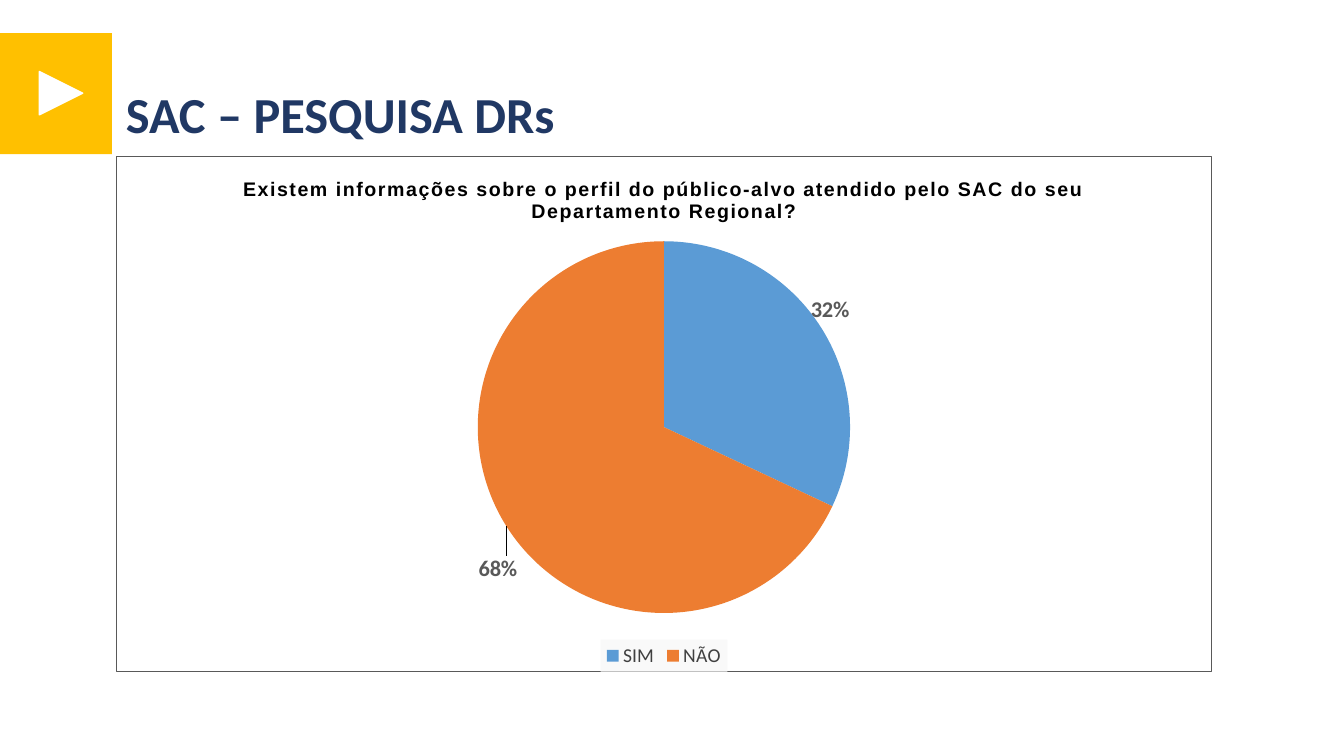
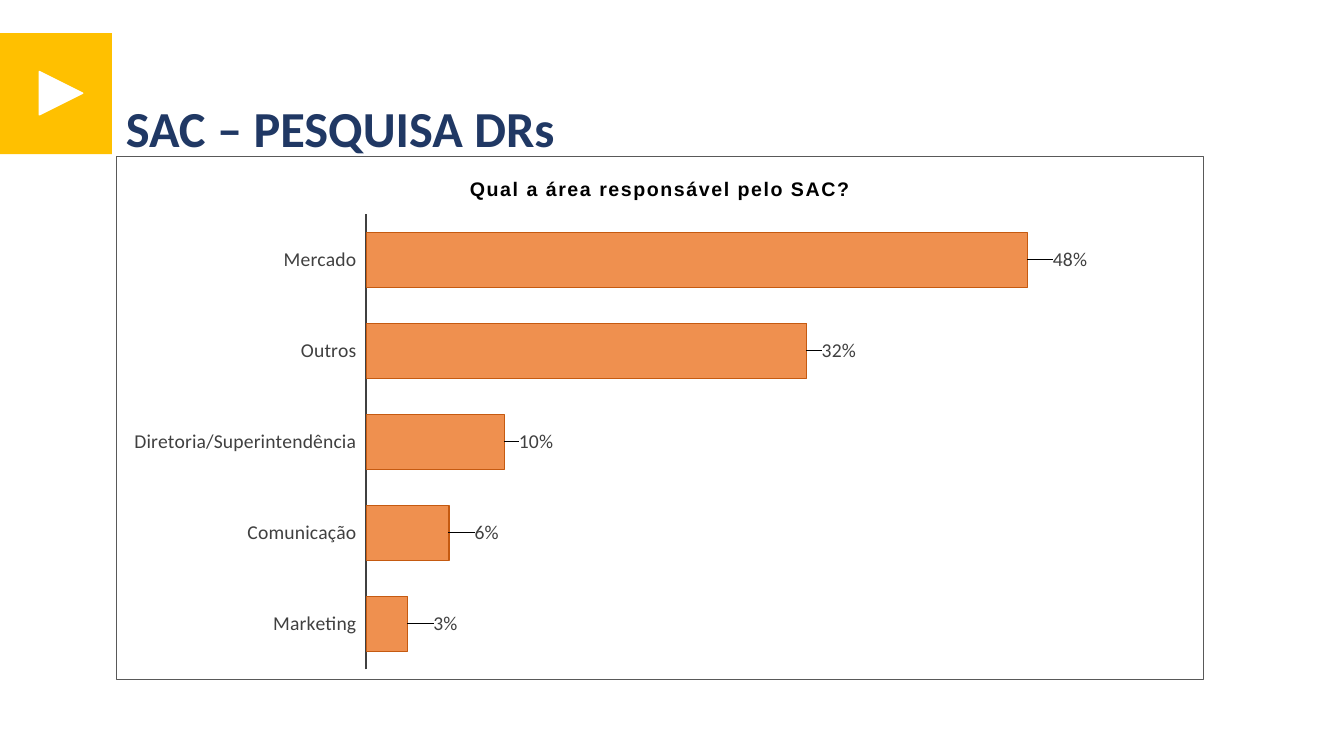
from pptx import Presentation
from pptx.chart.data import CategoryChartData
from pptx.dml.color import RGBColor
from pptx.enum.chart import (XL_CHART_TYPE, XL_LABEL_POSITION,
                             XL_LEGEND_POSITION, XL_TICK_LABEL_POSITION,
                             XL_TICK_MARK)
from pptx.enum.shapes import MSO_SHAPE
from pptx.oxml import parse_xml
from pptx.oxml.ns import nsdecls
from pptx.util import Inches, Pt

PIE, BAR = XL_CHART_TYPE.PIE, XL_CHART_TYPE.BAR_CLUSTERED
CENTER, OUTSIDE = XL_LABEL_POSITION.CENTER, XL_LABEL_POSITION.OUTSIDE_END
BOTTOM = XL_LEGEND_POSITION.BOTTOM
LOW, NO_LABEL = XL_TICK_LABEL_POSITION.LOW, XL_TICK_LABEL_POSITION.NONE
NO_TICK = XL_TICK_MARK.NONE
RECT, TRIANGLE = MSO_SHAPE.RECTANGLE, MSO_SHAPE.ISOSCELES_TRIANGLE

WHITE = RGBColor(0xFF, 0xFF, 0xFF)
BLACK = RGBColor(0, 0, 0)
GOLD = RGBColor(0xFF, 0xC0, 0x00)
NAVY = RGBColor(0x20, 0x38, 0x64)
BLUE = RGBColor(0x5B, 0x9B, 0xD5)
ORANGE = RGBColor(0xED, 0x7D, 0x31)
RUST = RGBColor(0xC5, 0x5A, 0x11)
GRAY = RGBColor(0x59, 0x59, 0x59)
DARK = RGBColor(0x40, 0x40, 0x40)
BODY, HEAD = "Calibri", "Arial"

TITLE = "SAC – PESQUISA DRs"
LEFT = 1.15
SLIDES = [
    {"top": 0.84, "size": (10.87, 5.12), "kind": PIE,
     "ask": "Existem informações sobre o perfil do público-alvo atendido "
            "pelo SAC do seu Departamento Regional?",
     "cats": ["SIM", "NÃO"], "vals": [32, 68],
     "plot": (0.33, 0.16, 0.34, 0.73),
     "shifts": [(0.08, -0.13), (-0.08, 0.18)]},
    {"top": 0.98, "size": (10.79, 5.2), "kind": BAR,
     "ask": "Qual a área responsável pelo SAC?",
     "cats": ["Mercado", "Outros", "Diretoria/Superintendência",
              "Comunicação", "Marketing"],
     "vals": [0.48, 0.32, 0.1, 0.06, 0.03],
     "plot": (0.23, 0.11, 0.76, 0.87),
     "shifts": [(0.02, 0), (0.01, 0), (0.01, 0), (0.02, 0), (0.02, 0)]},
]


def style(font, size, color, bold=False, name=BODY):
    font.size, font.bold, font.name = Pt(size), bold, name
    font.color.rgb = color


def stroke(line, color, width):
    line.color.rgb, line.width = color, Pt(width)


def make(tag, inner="", attrs=""):
    return parse_xml(f'<{tag} {nsdecls("c", "a")} {attrs}>{inner}</{tag}>')


def layout(pairs, mode=""):
    vals = "".join(f'<c:{key} val="{val}"/>' for key, val in pairs)
    return make("c:layout", f"<c:manualLayout>{mode}{vals}</c:manualLayout>")


def solid(color):
    return f'<a:solidFill><a:srgbClr val="{color}"/></a:solidFill>'


def add_mark(slide):
    for kind, box, color in ((RECT, (0, 0.33, 1.11, 1.2), GOLD),
                             (TRIANGLE, (0.39, 0.71, 0.43, 0.43), WHITE)):
        shape = slide.shapes.add_shape(kind, *map(Inches, box))
        shape.shadow.inherit = False
        shape.fill.solid()
        shape.fill.fore_color.rgb = color
        if kind == TRIANGLE:
            shape.rotation = 90
            stroke(shape.line, WHITE, 1)
        else:
            shape.line.fill.background()


def add_title(slide, top):
    box = slide.shapes.add_textbox(
        *map(Inches, (LEFT, top, 9.4, 0.54)))
    frame = box.text_frame
    frame.word_wrap = True
    frame.text = TITLE
    para = frame.paragraphs[0]
    para.line_spacing = 0.9
    style(para.runs[0].font, 36, NAVY, True)


def add_frame(chart):
    root = chart._chartSpace
    body = root.xpath("c:chart")[0]
    if not root.xpath("c:roundedCorners"):
        body.addprevious(make("c:roundedCorners", attrs='val="0"'))
    line = f'<a:ln w="{Pt(0.75)}">{solid(GRAY)}</a:ln>'
    body.addnext(make("c:spPr", solid(WHITE) + line))


def add_ask(chart, text):
    chart.has_title = True
    chart.chart_title.include_in_layout = False
    frame = chart.chart_title.text_frame
    frame.text = text
    run = frame.paragraphs[0].runs[0]
    style(run.font, 14, BLACK, True, HEAD)
    run._r.get_or_add_rPr().set("spc", "100")


def set_plot(chart, box):
    area = chart._chartSpace.xpath("c:chart/c:plotArea")[0]
    for old in area.xpath("c:layout"):
        area.remove(old)
    mode = ('<c:layoutTarget val="inner"/><c:xMode val="edge"/>'
            '<c:yMode val="edge"/>')
    area.insert(0, layout(zip("xywh", box), mode))


def add_labels(series, shifts, pie):
    for spot in range(len(shifts)):
        label = series.points[spot].data_label
        style(label.font, 16 if pie else 14, GRAY if pie else DARK, pie)
        label.position = CENTER if pie else OUTSIDE
    for label, shift in zip(series._element.xpath("c:dLbls/c:dLbl"), shifts):
        index = label.xpath("c:idx")[0]
        index.addnext(make("c:numFmt",
                           attrs='formatCode="0%" sourceLinked="0"'))
        index.addnext(layout(zip("xy", shift)))
        label.xpath("c:showVal")[0].set("val", "0" if pie else "1")
        label.xpath("c:showPercent")[0].set("val", "1" if pie else "0")


def dress_pie(chart, series):
    for spot, color in enumerate((BLUE, ORANGE)):
        fill = series.points[spot].format.fill
        fill.solid()
        fill.fore_color.rgb = color
    chart.has_legend = True
    legend = chart.legend
    legend.position = BOTTOM
    legend.include_in_layout = False
    style(legend.font, 14, DARK)
    shade = solid(RGBColor(0xF9, 0xF9, 0xF9))
    legend._element.xpath("c:overlay")[0].addnext(make("c:spPr", shade))


def dress_bar(chart, series):
    chart.has_legend = False
    chart.plots[0].gap_width = 65
    series.invert_if_negative = False
    look = series.format
    look.fill.solid()
    look.fill.fore_color.rgb = ORANGE
    stroke(look.line, RUST, 0.75)
    tint = series._element.xpath("c:spPr/a:solidFill/a:srgbClr")[0]
    tint.append(make("a:alpha", attrs='val="85000"'))
    cat, val = chart.category_axis, chart.value_axis
    cat.reverse_order = True
    cat.major_tick_mark = cat.minor_tick_mark = NO_TICK
    cat.tick_label_position = LOW
    style(cat.tick_labels.font, 14, DARK)
    stroke(cat.format.line, DARK, 1.5)
    val.minimum_scale, val.maximum_scale = 0, 0.6
    val.has_major_gridlines = False
    val.tick_label_position = NO_LABEL
    val.visible = False


def add_graph(slide, part):
    pie = part["kind"] == PIE
    data = CategoryChartData(number_format="General" if pie else "0%")
    data.categories = part["cats"]
    data.add_series("Series 1", part["vals"])
    box = (LEFT, 1.55, *part["size"])
    chart = slide.shapes.add_chart(
        part["kind"], *map(Inches, box), data).chart
    style(chart.font, 10, BLACK)
    add_frame(chart)
    add_ask(chart, part["ask"])
    set_plot(chart, part["plot"])
    chart.plots[0].vary_by_categories = pie
    series = chart.plots[0].series[0]
    dress = dress_pie if pie else dress_bar
    dress(chart, series)
    add_labels(series, part["shifts"], pie)


def main():
    deck = Presentation()
    deck.slide_width, deck.slide_height = Inches(13.33), Inches(7.5)
    for part in SLIDES:
        slide = deck.slides.add_slide(deck.slide_layouts[6])
        add_mark(slide)
        add_title(slide, part["top"])
        add_graph(slide, part)
    deck.save("out.pptx")


if __name__ == "__main__":
    main()
